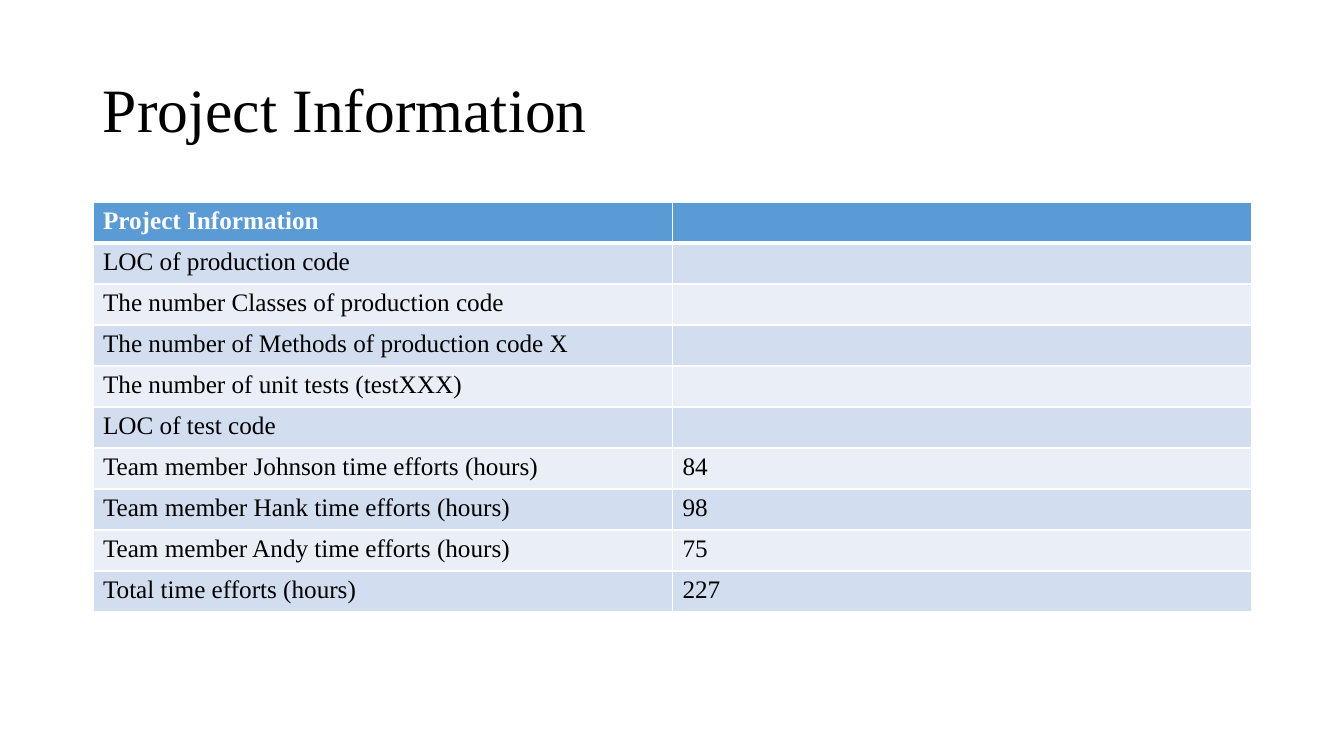
from lxml.etree import SubElement
from pptx import Presentation
from pptx.dml.color import RGBColor
from pptx.enum.text import MSO_ANCHOR
from pptx.oxml.ns import qn
from pptx.util import Pt

EMU_PER_PX = 914400 / 100.8
COLORS = {
    "text": "000000",
    "white": "FFFFFF",
    "header": "5B9BD5",
    "odd_row": "D2DEEF",
    "even_row": "EAEFF7",
}
LEFT, WIDTH = 93, 1159
TITLE_TOP, TITLE_HEIGHT = 40, 146
TABLE_TOP, ROW_HEIGHT = 202, 41

PROJECT_INFO = [
    ("Project Information", ""),
    ("LOC of production code", ""),
    ("The number Classes of production code", ""),
    ("The number of Methods of production code X", ""),
    ("The number of unit tests (testXXX)", ""),
    ("LOC of test code", ""),
    ("Team member Johnson time efforts (hours)", "84"),
    ("Team member Hank time efforts (hours)", "98"),
    ("Team member Andy time efforts (hours)", "75"),
    ("Total time efforts (hours)", "227"),
]


def px(*lengths):
    return [round(length * EMU_PER_PX) for length in lengths]


def write(paragraph, text, color, **font_format):
    paragraph.text = text
    font = paragraph.font if not text else paragraph.runs[0].font
    for name, value in {"name": "Times New Roman", **font_format}.items():
        setattr(font, name, value)
    font.color.rgb = RGBColor.from_string(COLORS[color])


# Slide
deck = Presentation()
deck.slide_width, deck.slide_height = px(1344, 756)
slide = deck.slides.add_slide(deck.slide_layouts[6])

# Title
title = slide.shapes.add_textbox(*px(LEFT, TITLE_TOP, WIDTH, TITLE_HEIGHT)).text_frame
title.word_wrap = True
title.vertical_anchor = MSO_ANCHOR.MIDDLE
title.paragraphs[0].line_spacing = 0.9
write(title.paragraphs[0], "Project Information", "text", size=Pt(44))

# Project information table
row_count = len(PROJECT_INFO)
info_table = slide.shapes.add_table(
    row_count, 2, *px(LEFT, TABLE_TOP, WIDTH, ROW_HEIGHT * row_count)
).table

for row, entries in enumerate(PROJECT_INFO):
    is_header = row == 0
    fill_color = "header" if is_header else "odd_row" if row % 2 else "even_row"
    for column, entry in enumerate(entries):
        cell = info_table.cell(row, column)
        write(cell.text_frame.paragraphs[0], entry,
              "white" if is_header else "text", size=Pt(18), bold=is_header)

        # White borders, with a thicker rule below the header
        borders = {
            "a:lnL": 1,
            "a:lnR": 1,
            "a:lnT": 3 if row == 1 else 1,
            "a:lnB": 3 if is_header else 1,
        }
        properties = cell._tc.get_or_add_tcPr()
        for side, points in borders.items():
            line = SubElement(properties, qn(side), w=str(Pt(points)))
            line_fill = SubElement(line, qn("a:solidFill"))
            SubElement(line_fill, qn("a:srgbClr"), val=COLORS["white"])

        cell.fill.solid()
        cell.fill.fore_color.rgb = RGBColor.from_string(COLORS[fill_color])

deck.save("out.pptx")
